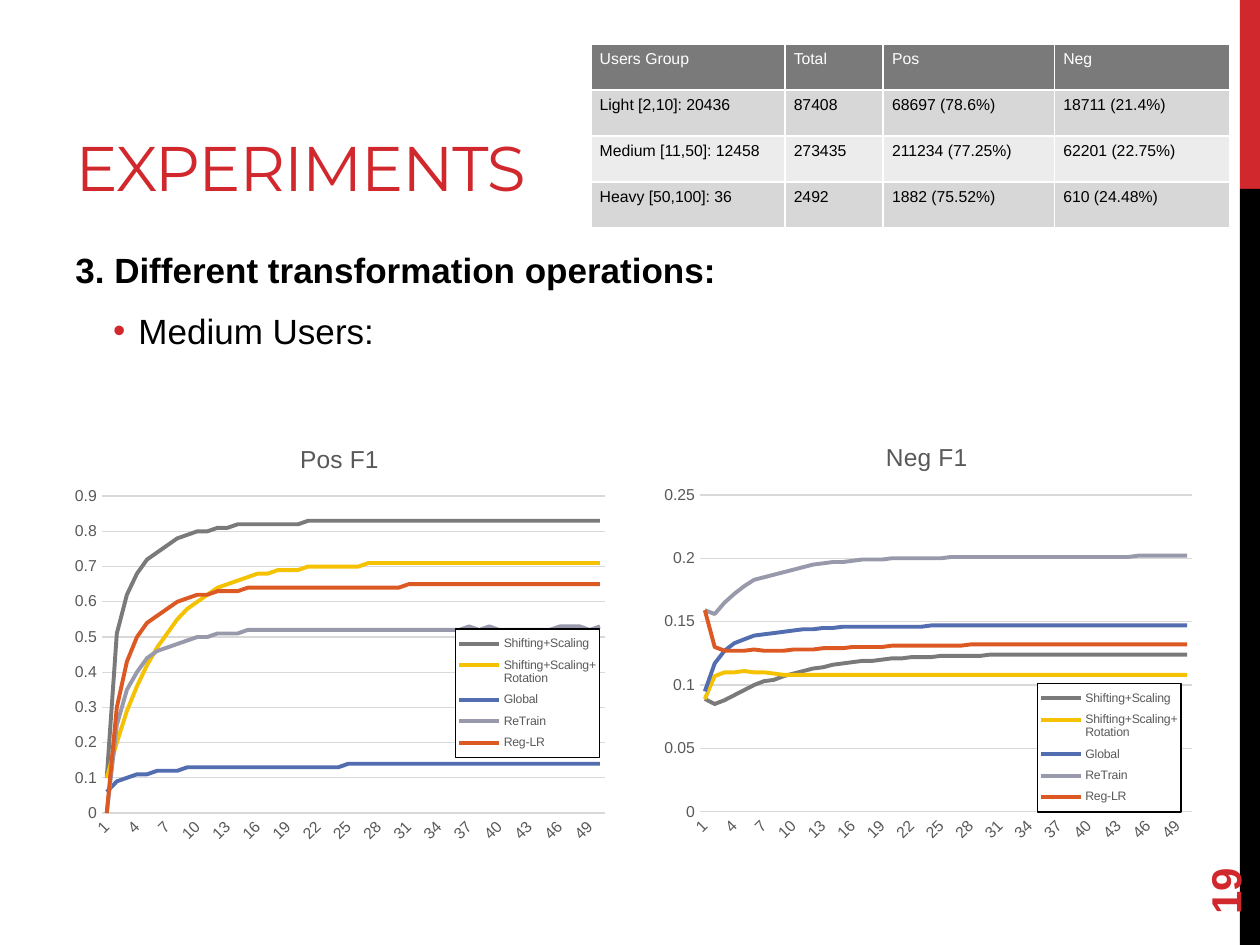
from dataclasses import dataclass

from lxml.etree import SubElement
from pptx import Presentation
from pptx.chart.data import CategoryChartData
from pptx.dml.color import RGBColor
from pptx.enum.chart import XL_CHART_TYPE, XL_LEGEND_POSITION, XL_MARKER_STYLE, XL_TICK_MARK
from pptx.enum.shapes import MSO_SHAPE
from pptx.enum.text import MSO_ANCHOR, MSO_AUTO_SIZE, PP_ALIGN
from pptx.oxml import parse_xml
from pptx.oxml.ns import nsdecls, qn
from pptx.util import Inches, Pt

COLUMNS, ROWS = 100, 75  # slide grid
UNIT = Inches(0.1)
RED, BLACK, WHITE, GRAY, RULE = "D1282E", "000000", "FFFFFF", "595959", "D9D9D9"
ITERATIONS = 50


@dataclass
class Box:
    left: float
    top: float
    width: float
    height: float

    def emu(self) -> tuple:
        return tuple(round(n * UNIT) for n in (self.left, self.top, self.width, self.height))


@dataclass
class Panel:
    title: str
    box: Box
    top_value: float
    step: float
    plot: Box    # shares of the chart
    legend: Box  # shares of the chart
    curves: tuple


METHODS = (("Shifting+Scaling", "7A7A7A"), ("Shifting+Scaling+Rotation", "F5C201"),
           ("Global", "526DB0"), ("ReTrain", "989AAC"), ("Reg-LR", "DC5924"))

# Curves: "value*n" holds a value n times; the last value holds to the end
PANELS = (
    Panel("Pos F1", Box(5, 33.6, 43.9, 34), 0.9, 0.1,
          Box(0.07, 0.17, 0.91, 0.74), Box(0.71, 0.48, 0.26, 0.3), (
              "0.1 0.51 0.62 0.68 0.72 0.74 0.76 0.78 0.79 0.8*2 0.81*2 0.82*7 0.83",
              "0.1 0.2 0.29 0.36 0.42 0.47 0.51 0.55 0.58 0.6 0.62 0.64 0.65 0.66 0.67 "
              "0.68*2 0.69*3 0.7*6 0.71",
              "0.06 0.09 0.1 0.11*2 0.12*3 0.13*16 0.14",
              "0 0.25 0.35 0.4 0.44 0.46 0.47 0.48 0.49 0.5*2 0.51*3 0.52*22 0.53 0.52 "
              "0.53 0.52*6 0.53*3 0.52 0.53",
              "0 0.3 0.43 0.5 0.54 0.56 0.58 0.6 0.61 0.62*2 0.63*3 0.64*16 0.65")),
    Panel("Neg F1", Box(51.6, 33.5, 43.9, 34), 0.25, 0.05,
          Box(0.09, 0.17, 0.89, 0.74), Box(0.7, 0.61, 0.26, 0.3), (
              "0.089 0.085 0.088 0.092 0.096 0.1 0.103 0.104 0.107 0.109 0.111 0.113 0.114 "
              "0.116 0.117 0.118 0.119*2 0.12 0.121*2 0.122*3 0.123*5 0.124",
              "0.089 0.107 0.11*2 0.111 0.11*2 0.109 0.108",
              "0.095 0.117 0.127 0.133 0.136 0.139 0.14 0.141 0.142 0.143 0.144*2 0.145*2 "
              "0.146*9 0.147",
              "0.159 0.156 0.165 0.172 0.178 0.183 0.185 0.187 0.189 0.191 0.193 0.195 0.196 "
              "0.197*2 0.198 0.199*3 0.2*6 0.201*19 0.202",
              "0.159 0.13 0.127*3 0.128 0.127*3 0.128*3 0.129*3 0.13*4 0.131*8 0.132")),
)

GROUP_COLUMNS = (15.4, 7.8, 13.6, 13.9)
GROUPS = (("Users Group", "Total", "Pos", "Neg"),
          ("Light [2,10]: 20436", "87408", "68697 (78.6%)", "18711 (21.4%)"),
          ("Medium [11,50]: 12458", "273435", "211234 (77.25%)", "62201 (22.75%)"),
          ("Heavy [50,100]: 36", "2492", "1882 (75.52%)", "610 (24.48%)"))


def rgb(color: str) -> RGBColor:
    return RGBColor.from_string(color)


def style(font, size: float, color: str, bold: bool = False, face: str = "Arial") -> None:
    font.size, font.bold, font.name = Pt(size), bold, face
    font.color.rgb = rgb(color)


def expand(curve: str) -> list:
    values = []
    for token in curve.split():
        value, _, count = token.partition("*")
        values += [float(value)] * int(count or 1)
    return values + values[-1:] * (ITERATIONS - len(values))


def add_bar(slide, box: Box, color: str) -> None:
    bar = slide.shapes.add_shape(MSO_SHAPE.RECTANGLE, *box.emu())
    bar.shadow.inherit = False
    bar.fill.solid()
    bar.fill.fore_color.rgb = rgb(color)
    bar.line.fill.background()


def add_text(slide, box: Box):
    area = slide.shapes.add_textbox(*box.emu())
    area.text_frame.word_wrap = True
    return area


def layout_xml(area: Box, inner: bool = False):
    target = '<c:layoutTarget val="inner"/>' if inner else ""
    return parse_xml(
        f'<c:layout {nsdecls("c")}><c:manualLayout>{target}<c:xMode val="edge"/>'
        f'<c:yMode val="edge"/><c:x val="{area.left}"/><c:y val="{area.top}"/>'
        f'<c:w val="{area.width}"/><c:h val="{area.height}"/></c:manualLayout></c:layout>')


def add_panel(slide, panel: Panel) -> None:
    data = CategoryChartData()
    data.categories = [str(n + 1) for n in range(ITERATIONS)]
    for (method, _), curve in zip(METHODS, panel.curves):
        data.add_series(method, expand(curve))
    chart = slide.shapes.add_chart(XL_CHART_TYPE.LINE, *panel.box.emu(), data).chart
    style(chart.font, 10, BLACK)
    chart.chart_title.text_frame.text = panel.title
    style(chart.chart_title.text_frame.paragraphs[0].runs[0].font, 14, GRAY)
    chart.chart_title.include_in_layout = False
    chart.plots[0].vary_by_categories = False
    for series, (_, color) in zip(chart.plots[0].series, METHODS):
        series.smooth = False
        series.marker.style = XL_MARKER_STYLE.NONE
        series.format.line.width = Pt(2.25)
        series.format.line.color.rgb = rgb(color)

    # Axes
    iterations, score = chart.category_axis, chart.value_axis
    for axis in (iterations, score):
        axis.major_tick_mark = axis.minor_tick_mark = XL_TICK_MARK.NONE
        style(axis.tick_labels.font, 9, GRAY)
    score.minimum_scale, score.maximum_scale, score.major_unit = 0, panel.top_value, panel.step
    score.tick_labels.number_format = "General"
    score.tick_labels.number_format_is_linked = False
    score.format.line.fill.background()
    score.has_major_gridlines = True
    for rule in (iterations.format.line, score.major_gridlines.format.line):
        rule.color.rgb, rule.width = rgb(RULE), Pt(0.75)
    axis_xml = iterations._element
    axis_xml.find(qn("c:txPr")).find(qn("a:bodyPr")).set("rot", "-2700000")
    axis_xml.find(qn("c:noMultiLvlLbl")).addprevious(
        parse_xml(f'<c:tickLblSkip {nsdecls("c")} val="3"/>'))

    # Plot area and framed legend
    plot_area = chart._chartSpace.chart.plotArea
    for old in plot_area.findall(qn("c:layout")):
        plot_area.remove(old)
    plot_area.insert(0, layout_xml(panel.plot, inner=True))
    chart.has_legend = True
    legend = chart.legend
    legend.position = XL_LEGEND_POSITION.RIGHT
    legend.include_in_layout = True
    style(legend.font, 7, GRAY)
    legend_xml = legend._element
    for old in legend_xml.findall(qn("c:layout")):
        legend_xml.remove(old)
    legend_xml.find(qn("c:legendPos")).addnext(layout_xml(panel.legend))
    legend_xml.find(qn("c:overlay")).addnext(parse_xml(
        f'<c:spPr {nsdecls("c", "a")}><a:solidFill><a:srgbClr val="{WHITE}"/></a:solidFill>'
        f'<a:ln w="9525"><a:solidFill><a:srgbClr val="{BLACK}"/></a:solidFill></a:ln></c:spPr>'))


def add_groups(slide, box: Box) -> None:
    table = slide.shapes.add_table(len(GROUPS), len(GROUP_COLUMNS), *box.emu()).table
    for column, width in zip(table.columns, GROUP_COLUMNS):
        column.width = round(width * UNIT)
    for r, group in enumerate(GROUPS):
        for c, entry in enumerate(group):
            cell = table.cell(r, c)
            cell.text = entry
            cell.margin_left = cell.margin_right = Inches(0.07)
            cell.margin_top = cell.margin_bottom = Inches(0.05)
            style(cell.text_frame.paragraphs[0].runs[0].font, 9, BLACK if r else WHITE)
            for side in ("lnL", "lnR", "lnT", "lnB"):
                border = SubElement(cell._tc.get_or_add_tcPr(), qn(f"a:{side}"), w="12700")
                SubElement(SubElement(border, qn("a:solidFill")), qn("a:srgbClr"), val=WHITE)
            cell.fill.solid()
            cell.fill.fore_color.rgb = rgb("7A7A7A" if r == 0 else "D7D7D7" if r % 2 else "ECECEC")


def main() -> None:
    deck = Presentation()
    deck.slide_width, deck.slide_height = COLUMNS * UNIT, ROWS * UNIT
    slide = deck.slides.add_slide(deck.slide_layouts[5])

    # Side bars
    add_bar(slide, Box(98.4, 0, 1.6, 15), RED)
    add_bar(slide, Box(98.4, 15, 1.6, 60), BLACK)

    # Title
    title = slide.shapes.title
    title.left, title.top, title.width, title.height = Box(5, 1.7, 63.3, 15).emu()
    frame = title.text_frame
    frame.text = "EXPERIMENTS"
    frame.auto_size, frame.vertical_anchor = MSO_AUTO_SIZE.NONE, MSO_ANCHOR.BOTTOM
    frame.paragraphs[0].alignment = PP_ALIGN.LEFT
    heading = frame.paragraphs[0].runs[0]
    style(heading.font, 36, RED, face="Montserrat")
    heading._r.get_or_add_rPr().set("spc", "-60")

    # Topic and its bullet
    outline = add_text(slide, Box(5, 19.2, 83.3, 47.8)).text_frame
    topic, users = outline.paragraphs[0], outline.add_paragraph()
    topic.text, users.text = "3. Different transformation operations:", "Medium Users:"
    topic.space_after, users.space_before = Pt(6), Pt(5)
    bullet = users._p.get_or_add_pPr()
    bullet.set("marL", str(Inches(0.5)))
    bullet.set("indent", str(Inches(-0.2)))
    SubElement(SubElement(bullet, qn("a:buClr")), qn("a:srgbClr"), val=RED)
    SubElement(bullet, qn("a:buFont"), typeface="Arial")
    SubElement(bullet, qn("a:buChar"), char="•")
    style(topic.runs[0].font, 20, BLACK, bold=True)
    style(users.runs[0].font, 20, BLACK)

    # Charts, page number and user groups
    for panel in PANELS:
        add_panel(slide, panel)
    page = add_text(slide, Box(90, 64.4, 14.4, 4))
    page.rotation = 270
    page.text_frame.vertical_anchor = MSO_ANCHOR.MIDDLE
    page.text_frame.text = "19"
    style(page.text_frame.paragraphs[0].runs[0].font, 24, RED, bold=True)
    add_groups(slide, Box(46.9, 3.5, sum(GROUP_COLUMNS), 14.6))

    deck.save("out.pptx")


if __name__ == "__main__":
    main()
